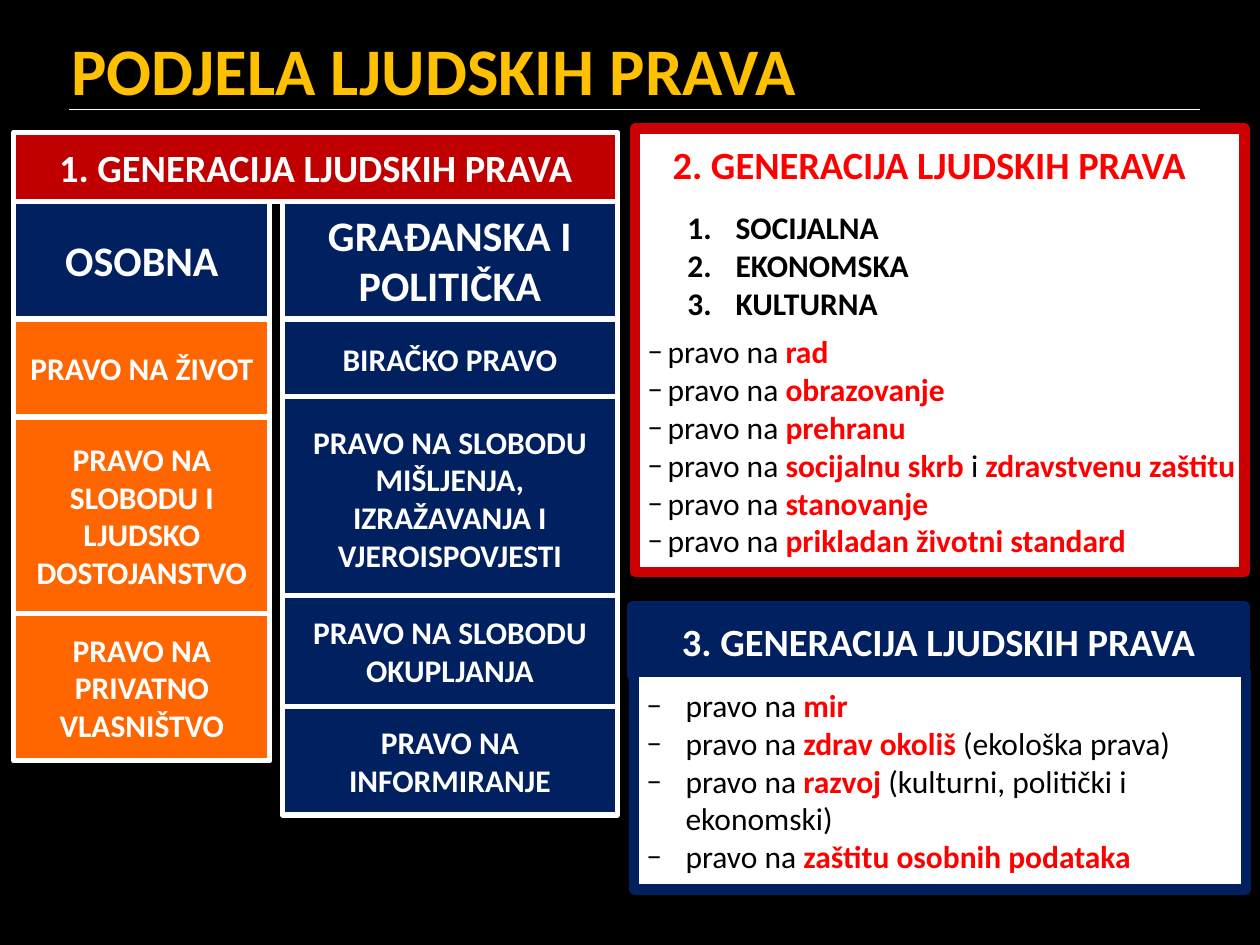
"""Build the slide on the three generations of human rights."""
from lxml.etree import SubElement
from pptx import Presentation
from pptx.dml.color import RGBColor
from pptx.enum.shapes import MSO_CONNECTOR as CONN, MSO_SHAPE as SHAPE
from pptx.enum.text import MSO_ANCHOR as ANCHOR, PP_ALIGN as ALIGN
from pptx.oxml.ns import qn
from pptx.util import Cm, Pt

COLORS = {
    "black": "000000", "white": "FFFFFF", "gold": "FFC000", "navy": "002060",
    "orange": "FF6600", "crimson": "C00000", "border": "CC0000", "red": "FF0000",
}
RGB = {name: RGBColor.from_string(value) for name, value in COLORS.items()}
FONT = "Calibri"


def add_box(s, x, y, w, h, fill, line, weight, text="", size=18):
    sp = s.shapes.add_shape(SHAPE.RECTANGLE, Cm(x), Cm(y), Cm(w), Cm(h))
    sp.shadow.inherit = False
    sp.fill.solid()
    sp.fill.fore_color.rgb = RGB[fill]
    sp.line.color.rgb = RGB[line]
    sp.line.width = Pt(weight)
    tf = sp.text_frame
    tf.word_wrap = True
    tf.vertical_anchor = ANCHOR.MIDDLE
    if text:
        p = tf.paragraphs[0]
        p.text = text
        p.alignment = ALIGN.CENTER
        f = p.runs[0].font
        f.name, f.size, f.bold, f.color.rgb = FONT, Pt(size), True, RGB["white"]
    return tf


def add_lines(tf, lines, left, indent, bullet=None, before=0, size=18, bold=False):
    for i, line in enumerate(lines):
        p = tf.add_paragraph() if tf.text else tf.paragraphs[0]
        p.alignment = ALIGN.LEFT
        pPr = p._p.get_or_add_pPr()
        pPr.set("marL", str(Cm(left)))
        pPr.set("indent", str(Cm(indent)))
        if bullet == "1.":
            pPr.set("lvl", "1")
            SubElement(pPr, qn("a:buFont"), typeface="+mj-lt")
            SubElement(pPr, qn("a:buAutoNum"), type="arabicPeriod")
        elif bullet:
            SubElement(pPr, qn("a:buFont"), typeface=FONT)
            SubElement(pPr, qn("a:buChar"), char=bullet)
        if before and i == 0:
            p.space_before = Pt(before)
        for j, part in enumerate(line.split("*")):
            if part:
                marked = j % 2 == 1
                r = p.add_run()
                r.text = part
                f = r.font
                f.name, f.size, f.bold = FONT, Pt(size), bold or marked
                f.color.rgb = RGB["red" if marked else "black"]


prs = Presentation()
prs.slide_width, prs.slide_height = Cm(25.4), Cm(19.05)
s = prs.slides.add_slide(prs.slide_layouts[6])
s.background.fill.solid()
s.background.fill.fore_color.rgb = RGB["black"]

rule = s.shapes.add_connector(CONN.STRAIGHT, Cm(1.4), Cm(2.21), Cm(24.2), Cm(2.21))
rule.line.color.rgb = RGB["white"]
rule.line.width = Pt(1)
SubElement(rule._element.spPr, qn("a:effectLst"))

title = s.shapes.add_textbox(Cm(1.19), Cm(-0.2), Cm(24.2), Cm(3.18))
tf = title.text_frame
tf.word_wrap = True
tf.vertical_anchor = ANCHOR.MIDDLE
tf.text = "PODJELA LJUDSKIH PRAVA"
f = tf.paragraphs[0].runs[0].font
f.name, f.size, f.bold, f.color.rgb = FONT, Pt(38), True, RGB["gold"]

columns = [
    (0.28, 5.16, "OSOBNA", "orange", [
        (6.43, 1.98, "PRAVO NA ŽIVOT"),
        (8.41, 3.96, "PRAVO NA SLOBODU I LJUDSKO DOSTOJANSTVO"),
        (12.37, 2.97, "PRAVO NA PRIVATNO VLASNIŠTVO"),
    ]),
    (5.69, 6.76, "GRAĐANSKA I POLITIČKA", "navy", [
        (6.43, 1.63, "BIRAČKO PRAVO"),
        (8.0, 4.09, "PRAVO NA SLOBODU MIŠLJENJA, IZRAŽAVANJA I VJEROISPOVJESTI"),
        (12.01, 2.24, "PRAVO NA SLOBODU OKUPLJANJA"),
        (14.25, 2.18, "PRAVO NA INFORMIRANJE"),
    ]),
]
for x, w, heading, fill, rights in columns:
    add_box(s, x, 4.04, w, 2.39, "navy", "white", 3, heading, 24)
    for y, h, text in rights:
        add_box(s, x, y, w, h, fill, "white", 3, text)
add_box(s, 0.28, 2.67, 12.17, 1.4, "crimson", "white", 3, "1. GENERACIJA LJUDSKIH PRAVA", 22)

tf = add_box(s, 12.8, 2.59, 12.29, 8.94, "white", "border", 6)
tf.word_wrap = False
add_lines(tf, ["*2. GENERACIJA LJUDSKIH PRAVA*"], 0.51, 0, size=22)
add_lines(tf, ["SOCIJALNA", "EKONOMSKA", "KULTURNA"], 1.78, -0.97, "1.", 12, bold=True)
add_lines(tf, [
    "pravo na *rad*",
    "pravo na *obrazovanje*",
    "pravo na *prehranu*",
    "pravo na *socijalnu skrb* i *zdravstvenu zaštitu*",
    "pravo na *stanovanje*",
    "pravo na *prikladan životni standard*",
], 0.41, -0.41, "–", 6)

add_box(s, 12.75, 12.22, 12.34, 1.4, "navy", "navy", 6, "3. GENERACIJA LJUDSKIH PRAVA", 22)
tf = add_box(s, 12.78, 13.54, 12.34, 4.39, "white", "navy", 6)
add_lines(tf, [
    "pravo na *mir*",
    "pravo na *zdrav okoliš* (ekološka prava)",
    "pravo na *razvoj* (kulturni, politički i ekonomski)",
    "pravo na *zaštitu osobnih podataka*",
], 0.79, -0.79, "–")

prs.save("out.pptx")
